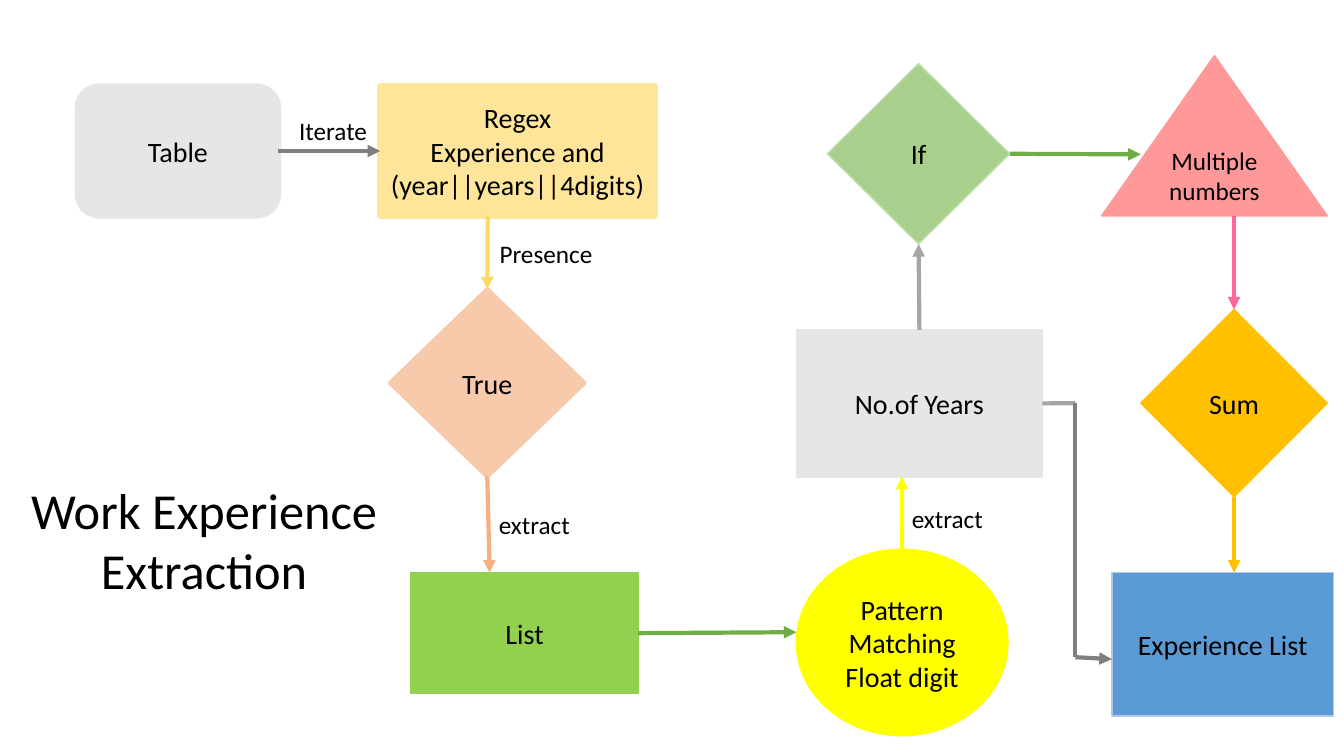
from lxml.etree import SubElement
from pptx import Presentation
from pptx.dml.color import RGBColor
from pptx.enum.shapes import MSO_CONNECTOR, MSO_SHAPE
from pptx.enum.text import MSO_ANCHOR, MSO_AUTO_SIZE, PP_ALIGN
from pptx.oxml.ns import qn
from pptx.util import Cm, Pt

COLORS = {
    "black": "000000", "light gray": "E7E6E6", "gray": "A5A5A5", "dark gray": "7F7F7F",
    "cream": "FEE599", "sand": "FFD966", "peach": "F7CAAC", "orange": "F4B081",
    "lime": "92D050", "yellow": "FFFF00", "salmon": "FF9999", "pink": "FF6699",
    "sage": "A8D08C", "pale green": "C4E0B2", "green": "70AD47", "gold": "FFC000",
    "blue": "5B9BD5", "pale blue": "B3C6E7",
}
TOP, BOTTOM, LEFT, RIGHT = 0, 2, 1, 3


def color(name):
    return RGBColor.from_string(COLORS[name])


def write(frame, text, size, align):
    frame.word_wrap = True
    frame.text = text
    for paragraph in frame.paragraphs:
        paragraph.alignment = align
        for run in paragraph.runs:
            run.font.name = "Calibri"
            run.font.size = Pt(size)
            run.font.color.rgb = color("black")


prs = Presentation()
prs.slide_width, prs.slide_height = Cm(33.87), Cm(19.05)
slide = prs.slides.add_slide(prs.slide_layouts[6])

steps = [
    ("table", MSO_SHAPE.ROUNDED_RECTANGLE, (1.96, 2.18, 5.05, 3.25), "light gray", "light gray", 4.5, "Table", 20),
    ("regex", MSO_SHAPE.RECTANGLE, (9.58, 2.18, 6.93, 3.25), "cream", "cream", 4.5,
     "Regex\nExperience and\n(year||years||4digits)", 20),
    ("true", MSO_SHAPE.DIAMOND, (9.83, 7.29, 4.9, 4.72), "peach", "peach", 3, "True", 20),
    ("list", MSO_SHAPE.RECTANGLE, (10.36, 14.43, 5.72, 3.05), "lime", "lime", 1, "List", 20),
    ("pattern", MSO_SHAPE.OVAL, (20.07, 13.84, 5.33, 4.7), "yellow", "yellow", 1,
     "Pattern Matching\nFloat digit", 20),
    ("years", MSO_SHAPE.RECTANGLE, (20.07, 8.31, 6.2, 3.71), "light gray", "light gray", 1, "No.of Years", 20),
    ("multiple", MSO_SHAPE.ISOSCELES_TRIANGLE, (27.76, 1.4, 5.69, 4.04), "salmon", "salmon", 1,
     "Multiple numbers", 18),
    ("if", MSO_SHAPE.DIAMOND, (20.85, 1.6, 4.6, 4.55), "sage", "pale green", 1, "If", 20),
    ("sum", MSO_SHAPE.DIAMOND, (28.75, 7.8, 4.7, 4.72), "gold", "gold", 1, "Sum", 20),
    ("experience", MSO_SHAPE.RECTANGLE, (28.02, 14.43, 5.59, 3.61), "blue", "pale blue", 1,
     "Experience List", 20),
]
flow = {}
for key, kind, box, fill, outline, width, text, size in steps:
    step = slide.shapes.add_shape(kind, *[Cm(v) for v in box])
    step.shadow.inherit = False
    step.fill.solid()
    step.fill.fore_color.rgb = color(fill)
    step.line.color.rgb = color(outline)
    step.line.width = Pt(width)
    step.text_frame.vertical_anchor = MSO_ANCHOR.MIDDLE
    write(step.text_frame, text, size, PP_ALIGN.CENTER)
    flow[key] = step

links = [
    ((6.99, 3.81), (9.58, 3.81), "dark gray", True, ("table", RIGHT), ("regex", LEFT)),
    ((12.29, 5.44), (12.29, 7.29), "sand", True, None, ("true", TOP)),
    ((12.29, 12.01), (12.34, 14.43), "orange", True, ("true", BOTTOM), None),
    ((16.1, 15.93), (20.07, 15.93), "green", True, ("list", RIGHT), None),
    ((22.73, 13.84), (22.73, 12.01), "yellow", True, ("pattern", TOP), None),
    ((23.16, 8.31), (23.16, 6.22), "gray", True, ("years", TOP), ("if", BOTTOM)),
    ((25.45, 3.89), (28.75, 3.89), "green", True, ("if", RIGHT), None),
    ((31.1, 5.44), (31.1, 7.8), "pink", True, None, ("sum", TOP)),
    ((31.1, 12.52), (31.1, 14.43), "gold", True, ("sum", BOTTOM), None),
    ((26.26, 10.16), (27.1, 10.16), "gray", False, ("years", RIGHT), None),
    ((27.1, 10.16), (27.1, 16.56), "dark gray", False, None, None),
    ((27.1, 16.56), (28.02, 16.61), "dark gray", True, None, None),
]
for start, end, stroke, arrow, source, target in links:
    link = slide.shapes.add_connector(MSO_CONNECTOR.STRAIGHT, *[Cm(v) for v in start + end])
    if source:
        link.begin_connect(flow[source[0]], source[1])
    if target:
        link.end_connect(flow[target[0]], target[1])
    link.line.color.rgb = color(stroke)
    link.line.width = Pt(3)
    if arrow:
        SubElement(link.line._get_or_add_ln(), qn("a:tailEnd"), type="triangle")
    SubElement(link._element.spPr, qn("a:effectLst"))

labels = [
    ("Iterate", (7.29, 2.79, 3.0, 1.02), 18, PP_ALIGN.LEFT),
    ("Presence", (12.34, 5.87, 3.78, 1.02), 18, PP_ALIGN.LEFT),
    ("extract", (12.32, 12.7, 2.87, 1.04), 18, PP_ALIGN.LEFT),
    ("extract", (22.73, 12.55, 2.49, 1.04), 18, PP_ALIGN.LEFT),
    ("Work Experience Extraction", (0.28, 11.94, 9.73, 3.33), 36, PP_ALIGN.CENTER),
]
for text, box, size, align in labels:
    label = slide.shapes.add_textbox(*[Cm(v) for v in box])
    write(label.text_frame, text, size, align)
    label.text_frame.auto_size = MSO_AUTO_SIZE.SHAPE_TO_FIT_TEXT

prs.save("out.pptx")
